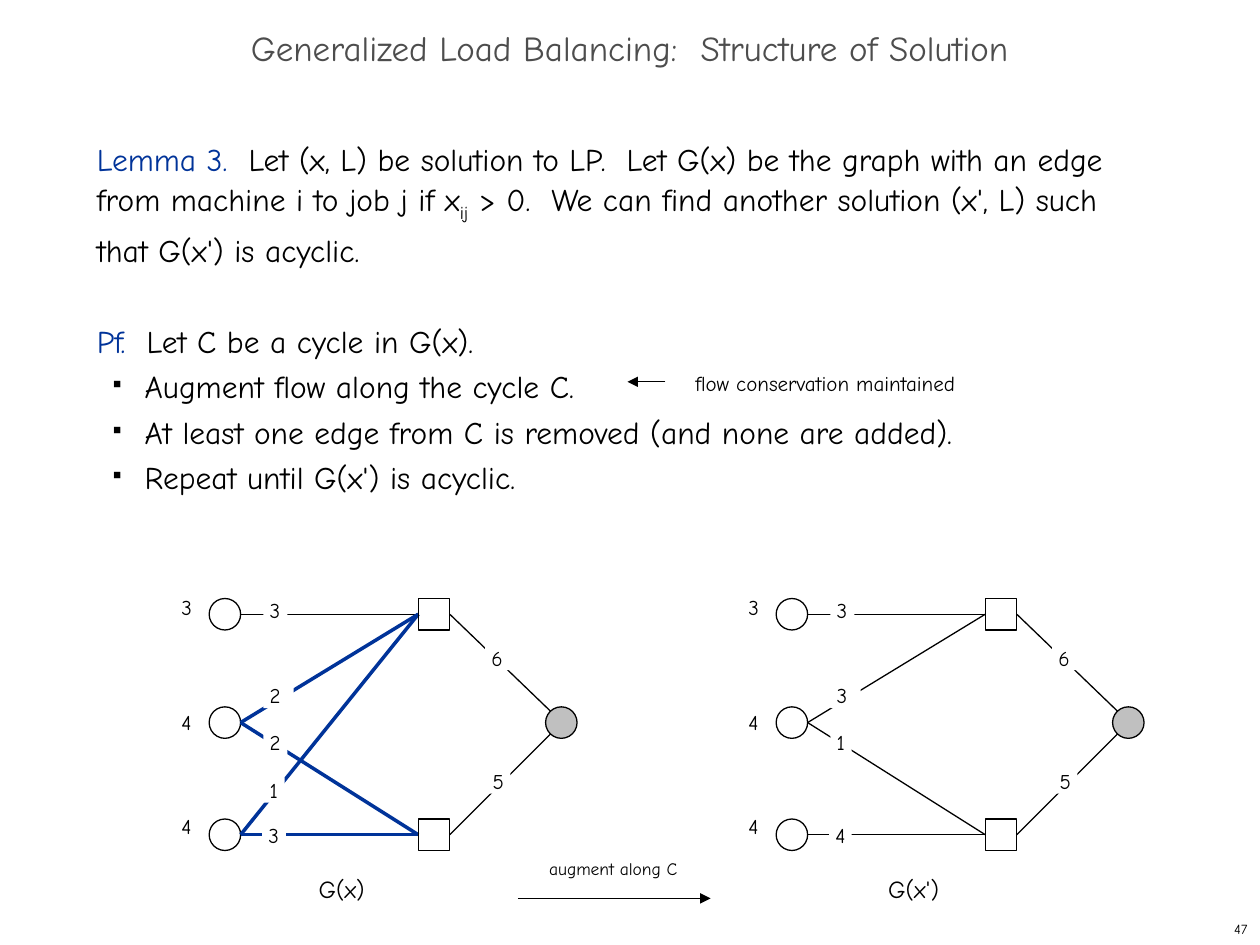
"""Build the slide on the structure of generalized load balancing solutions."""
from dataclasses import dataclass

from lxml.etree import SubElement
from pptx import Presentation
from pptx.dml.color import RGBColor
from pptx.enum.shapes import MSO_CONNECTOR, MSO_SHAPE
from pptx.enum.text import MSO_ANCHOR, MSO_AUTO_SIZE, PP_ALIGN
from pptx.oxml.ns import qn
from pptx.util import Inches, Pt


@dataclass(frozen=True)
class Theme:
    font: str = "Comic Neue"
    black: RGBColor = RGBColor(0, 0, 0)
    white: RGBColor = RGBColor(255, 255, 255)
    blue: RGBColor = RGBColor(0, 0x33, 0x99)
    gray: RGBColor = RGBColor(0xC0, 0xC0, 0xC0)
    title_color: RGBColor = RGBColor(0x4D, 0x4D, 0x4D)
    title: int = 20
    body: int = 18
    caption: int = 14
    label: int = 12
    note: int = 10
    number: int = 8
    thin: float = 0.75
    thick: float = 2
    leading: int = 26


THEME = Theme()
TITLE = "Generalized Load Balancing:  Structure of Solution"
LEMMA = [
    ("Lemma 3.  ", "heading"),
    ("Let (x, L) be solution to LP.  Let G(x) be the graph with an edge "
     "from machine i to job j if x", "plain"),
    ("ij", "subscript"),
    (" > 0.  We can find another solution (x', L) such that G(x') is acyclic.", "plain"),
]
PROOF = [("Pf.  ", "heading"), ("Let C be a cycle in G(x).", "plain")]
STEPS = [
    "Augment flow along the cycle C.",
    "At least one edge from C is removed (and none are added).",
    "Repeat until G(x') is acyclic.",
]

NODE = 0.25
ROWS = [4.75, 5.61, 6.5]
JOB_X, MACHINE_X, SINK_X = 1.66, 3.32, 4.33
GRAPH_STEP = 4.5
SUPPLIES = [("3", 4.67), ("4", 5.58), ("4", 6.41)]
SINK_LABELS = [("6", 3.85, 5.12, 0.19), ("5", 3.86, 6.1, 0.19)]
GRAPHS = [
    {"caption": ("G(x)", 2.43, 0.57),
     "edges": [(0, 0), (1, 0), (1, 2), (2, 2), (2, 0)],
     "cycle": [(1, 0), (1, 2), (2, 2), (2, 0)],
     "flows": [("3", 2.09, 4.74, 0.19), ("2", 2.09, 5.42, 0.24), ("3", 2.08, 6.53, 0.19),
               ("1", 2.09, 6.17, 0.17), ("2", 2.09, 5.79, 0.19)]},
    {"caption": ("G(x')", 2.45, 0.61),
     "edges": [(0, 0), (1, 0), (1, 2), (2, 2)],
     "cycle": [],
     "flows": [("3", 2.09, 4.74, 0.19), ("3", 2.09, 5.42, 0.24), ("4", 2.08, 6.53, 0.18),
               ("1", 2.09, 5.79, 0.17)]},
]


def set_font(font, size, color=THEME.black):
    font.name, font.size, font.color.rgb = THEME.font, Pt(size), color


def add_text(slide, text, box, size, wrap=False):
    shape = slide.shapes.add_textbox(*map(Inches, box))
    frame = shape.text_frame
    frame.word_wrap = wrap
    paragraph = frame.paragraphs[0]
    paragraph.text = text
    set_font(paragraph.font, size)
    return shape


def add_flow(slide, text, left, top, width):
    shape = add_text(slide, text, (left, top, width, 0.2), THEME.label)
    shape.fill.solid()
    shape.fill.fore_color.rgb = THEME.white
    frame = shape.text_frame
    frame.margin_left = frame.margin_right = Inches(0.05)
    frame.margin_top = frame.margin_bottom = 0


def add_line(slide, start, end, color=THEME.black, width=THEME.thin, arrow=False):
    line = slide.shapes.add_connector(MSO_CONNECTOR.STRAIGHT, *map(Inches, (*start, *end)))
    line.line.color.rgb = color
    line.line.width = Pt(width)
    if arrow:
        SubElement(line.line._get_or_add_ln(), qn("a:tailEnd"), type="triangle")
    SubElement(line._element.spPr, qn("a:effectLst"))


def add_node(slide, kind, left, top, fill=None):
    shape = slide.shapes.add_shape(kind, *map(Inches, (left, top, NODE, NODE)))
    shape.shadow.inherit = False
    shape.line.color.rgb = THEME.black
    shape.line.width = Pt(THEME.thin)
    if fill is None:
        shape.fill.background()
    else:
        shape.fill.solid()
        shape.fill.fore_color.rgb = fill


def add_graph(slide, graph, offset):
    centers = [top + NODE / 2 for top in ROWS]
    job, machine, sink = (x + offset for x in (JOB_X, MACHINE_X, SINK_X))
    for top in ROWS:
        add_node(slide, MSO_SHAPE.OVAL, job, top)
    for edge in graph["edges"]:
        in_cycle = edge in graph["cycle"]
        add_line(slide, (job + NODE, centers[edge[0]]), (machine, centers[edge[1]]),
                 THEME.blue if in_cycle else THEME.black,
                 THEME.thick if in_cycle else THEME.thin)
    add_node(slide, MSO_SHAPE.OVAL, sink, ROWS[1], THEME.gray)
    for row, side in ((0, -1), (2, 1)):
        add_node(slide, MSO_SHAPE.RECTANGLE, machine, ROWS[row])
        add_line(slide, (sink + 0.04, centers[1] + side * 0.09),
                 (machine + NODE, centers[row]))
    for text, top in SUPPLIES:
        add_text(slide, text, (1.34 + offset, top, 0.28, 0.3), THEME.label)
    for text, left, top, width in graph["flows"] + SINK_LABELS:
        add_flow(slide, text, left + offset, top, width)
    text, left, width = graph["caption"]
    add_text(slide, text, (left + offset, 6.89, width, 0.33), THEME.caption)


def add_runs(paragraph, runs):
    for text, role in runs:
        run = paragraph.add_run()
        run.text = text
        set_font(run.font, THEME.body, THEME.blue if role == "heading" else THEME.black)
        if role == "subscript":
            run.font._element.set("baseline", "-25000")


def add_bullet(paragraph):
    properties = paragraph._p.get_or_add_pPr()
    properties.set("marL", str(Inches(0.38)))
    properties.set("indent", str(Inches(-0.25)))
    color = SubElement(properties, qn("a:buClr"))
    SubElement(color, qn("a:srgbClr"), val=str(THEME.black))
    SubElement(properties, qn("a:buSzPct"), val="35000")
    SubElement(properties, qn("a:buChar"), char="■")


def add_body(slide):
    frame = slide.shapes.add_textbox(*map(Inches, (0.67, 1, 8.58, 3.1))).text_frame
    frame.word_wrap = True
    add_runs(frame.paragraphs[0], LEMMA)
    proof = frame.add_paragraph()
    add_runs(proof, PROOF)
    proof.space_before = Pt(THEME.leading)
    for step in STEPS:
        paragraph = frame.add_paragraph()
        add_bullet(paragraph)
        add_runs(paragraph, [(step, "plain")])
    for paragraph in frame.paragraphs:
        paragraph.line_spacing = Pt(THEME.leading)


def add_title(slide):
    title = slide.shapes.title
    title.left, title.top, title.width, title.height = map(Inches, (0, 0.17, 10, 0.5))
    frame = title.text_frame
    frame.text = TITLE
    frame.auto_size = MSO_AUTO_SIZE.NONE
    frame.vertical_anchor = MSO_ANCHOR.MIDDLE
    paragraph = frame.paragraphs[0]
    paragraph.alignment = PP_ALIGN.CENTER
    paragraph.line_spacing = 0.7
    set_font(paragraph.font, THEME.title, THEME.title_color)


def main():
    presentation = Presentation()
    presentation.slide_width, presentation.slide_height = Inches(10), Inches(7.5)
    slide = presentation.slides.add_slide(presentation.slide_layouts[5])
    add_title(slide)
    add_body(slide)
    for index, graph in enumerate(GRAPHS):
        add_graph(slide, graph, index * GRAPH_STEP)
    add_text(slide, "augment along C", (4.26, 6.76, 1.22, 0.27), THEME.note)
    add_line(slide, (4.11, 7.13), (5.64, 7.13), arrow=True)
    remark = add_text(slide, "flow conservation maintained", (5.42, 2.73, 2.28, 0.46), THEME.label)
    remark.text_frame.paragraphs[0].line_spacing = Pt(THEME.leading)
    add_line(slide, (5.28, 3.03), (4.98, 3.03), arrow=True)
    number = add_text(slide, "47", (7.92, 7.25, 2.08, 0.25), THEME.number, wrap=True)
    number.text_frame.vertical_anchor = MSO_ANCHOR.MIDDLE
    number.text_frame.paragraphs[0].alignment = PP_ALIGN.RIGHT
    presentation.save("out.pptx")


if __name__ == "__main__":
    main()
